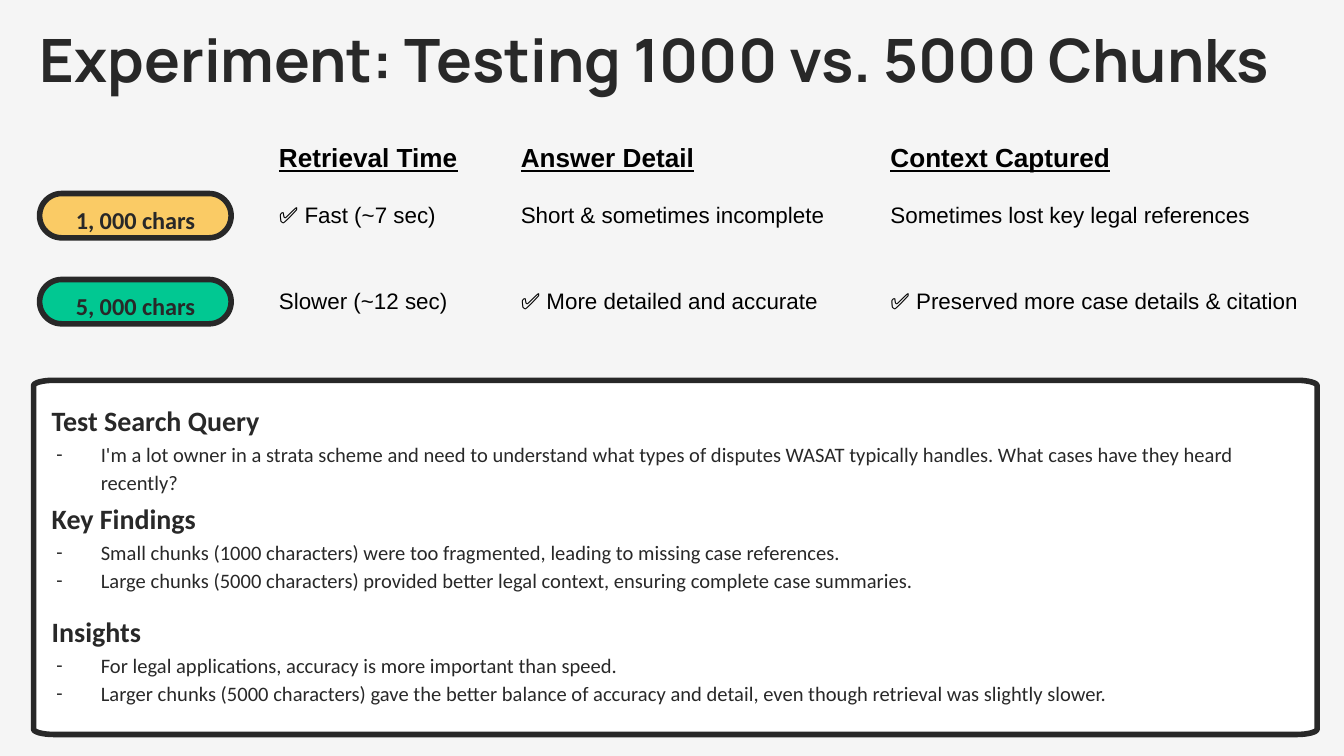
from math import cos, pi, sin

from lxml import etree
from pptx import Presentation
from pptx.dml.color import RGBColor
from pptx.enum.shapes import MSO_SHAPE
from pptx.enum.text import MSO_ANCHOR, PP_ALIGN
from pptx.oxml.ns import qn
from pptx.util import Pt

ROUNDED = MSO_SHAPE.ROUNDED_RECTANGLE
TOP, MIDDLE = MSO_ANCHOR.TOP, MSO_ANCHOR.MIDDLE
LEFT, CENTER = PP_ALIGN.LEFT, PP_ALIGN.CENTER
NO_GRID_STYLE = "{2D5ABB26-0587-4C30-8999-92F81FD0307C}"
INK, BLACK, WHITE, PAPER = "282828", "000000", "FFFFFF", "F5F5F5"

TITLE = "Experiment: Testing 1000 vs. 5000 Chunks"
PILLS = [("1, 000 chars", "FACB65"), ("5, 000 chars", "01C892")]
TABLE = [
    ["Retrieval Time", "Answer Detail", "Context Captured"],
    ["✅ Fast (~7 sec)", "Short & sometimes incomplete", "Sometimes lost key legal references"],
    ["Slower (~12 sec)", "✅ More detailed and accurate", "✅ Preserved more case details & citation"],
]
COLUMN_WIDTHS = [360, 550, 680]
ROW_HEIGHTS = [86, 128, 114]
SECTIONS = [
    (590, "Test Search Query", [
        "I'm a lot owner in a strata scheme and need to understand what types of disputes "
        "WASAT typically handles. What cases have they heard recently?",
    ]),
    (736, "Key Findings", [
        "Small chunks (1000 characters) were too fragmented, leading to missing case references.",
        "Large chunks (5000 characters) provided better legal context, ensuring complete case summaries.",
    ]),
    (904, "Insights", [
        "For legal applications, accuracy is more important than speed.",
        "Larger chunks (5000 characters) gave the better balance of accuracy and detail, "
        "even though retrieval was slightly slower.",
    ]),
]


def px(value):
    return value * 4572


def color(hex_value):
    return RGBColor.from_string(hex_value)


def set_margins(target, size):
    target.margin_left = target.margin_right = px(size)
    target.margin_top = target.margin_bottom = px(size)


def add_run(para, text, font, size, hex_value, bold=False, underline=False):
    span = para.add_run()
    span.text = text
    span.font.name = font
    span.font.size = Pt(size)
    span.font.bold = bold
    span.font.underline = underline
    span.font.color.rgb = color(hex_value)


def add_bullet(para, font, size):
    properties = para._p.get_or_add_pPr()
    properties.set("marL", str(px(100)))
    properties.set("indent", str(px(-66)))
    bullet_color = etree.SubElement(properties, qn("a:buClr"))
    etree.SubElement(bullet_color, qn("a:srgbClr")).set("val", INK)
    etree.SubElement(properties, qn("a:buSzPts")).set("val", str(size * 100))
    etree.SubElement(properties, qn("a:buFont")).set("typeface", font)
    etree.SubElement(properties, qn("a:buChar")).set("char", "-")


def add_text(page, bounds, lines, font, size, bold=False, spacing=1.0,
             bulleted=False, align=LEFT, anchor=TOP, margin=0):
    frame = page.shapes.add_textbox(*map(px, bounds)).text_frame
    frame.word_wrap = True
    frame.vertical_anchor = anchor
    set_margins(frame, margin)
    for index, line in enumerate(lines):
        para = frame.add_paragraph() if index else frame.paragraphs[0]
        if bulleted:
            add_bullet(para, font, size)
        para.alignment = align
        para.line_spacing = spacing
        add_run(para, line, font, size, INK, bold)


def paint(shape, fill):
    shape.shadow.inherit = False
    shape.fill.solid()
    shape.fill.fore_color.rgb = color(fill)
    shape.line.color.rgb = color(INK)
    shape.line.width = Pt(3)


def add_pill(page, top, label, fill):
    pill = page.shapes.add_shape(ROUNDED, *map(px, (59, top, 285, 66)))
    pill.adjustments[0] = 0.5
    paint(pill, fill)
    add_text(page, (59, top, 285, 68), [label], "Calibri", 13, bold=True,
             spacing=1.22, align=CENTER, anchor=MIDDLE, margin=6)


def add_panel(page, left, top, width, height, corner_width, corner_height, steps=8):
    right, bottom = left + width - corner_width, top + height - corner_height
    left, top = left + corner_width, top + corner_height
    centers = [(right, bottom), (left, bottom), (left, top), (right, top)]
    points = []
    for quarter, (x, y) in enumerate(centers):
        for step in range(steps + 1):
            angle = (quarter + step / steps) * pi / 2
            points.append((round(px(x + corner_width * cos(angle))),
                           round(px(y + corner_height * sin(angle)))))
    outline = page.shapes.build_freeform(*points[0])
    outline.add_line_segments(points[1:], close=True)
    paint(outline.convert_to_shape(), WHITE)


def add_comparison(page):
    bounds = (395, 188, sum(COLUMN_WIDTHS), sum(ROW_HEIGHTS))
    table = page.shapes.add_table(len(TABLE), len(TABLE[0]), *map(px, bounds)).table
    table.horz_banding = False
    table.first_row = False
    table._tbl.tblPr.find(qn("a:tableStyleId")).text = NO_GRID_STYLE
    for column, width in zip(table.columns, COLUMN_WIDTHS):
        column.width = px(width)
    for row_index, (row, height) in enumerate(zip(table.rows, ROW_HEIGHTS)):
        row.height = px(height)
        header = row_index == 0
        for cell, text in zip(row.cells, TABLE[row_index]):
            cell.fill.background()
            cell.vertical_anchor = TOP
            set_margins(cell, 20)
            para = cell.text_frame.paragraphs[0]
            para.line_spacing = 1.15 if header else 1.0
            add_run(para, text, "Arial", 14 if header else 12, BLACK, header, header)


def main():
    deck = Presentation()
    deck.slide_width, deck.slide_height = px(2000), px(1125)
    page = deck.slides.add_slide(deck.slide_layouts[6])
    page.background.fill.solid()
    page.background.fill.fore_color.rgb = color(PAPER)

    for index, (label, fill) in enumerate(PILLS):
        add_pill(page, 288 + index * 128, label, fill)
    add_text(page, (59, 34, 1932, 108), [TITLE], "Manrope", 32, bold=True)
    add_comparison(page)
    add_panel(page, 50, 566, 1910, 527, 30, 8)
    for top, heading, points in SECTIONS:
        add_text(page, (77, top, 1716, 50), [heading], "Calibri", 15, bold=True, spacing=1.22)
        add_text(page, (50, top + 62, 1802, 80), points, "Calibri", 11, spacing=1.15, bulleted=True)
    deck.save("out.pptx")


if __name__ == "__main__":
    main()
